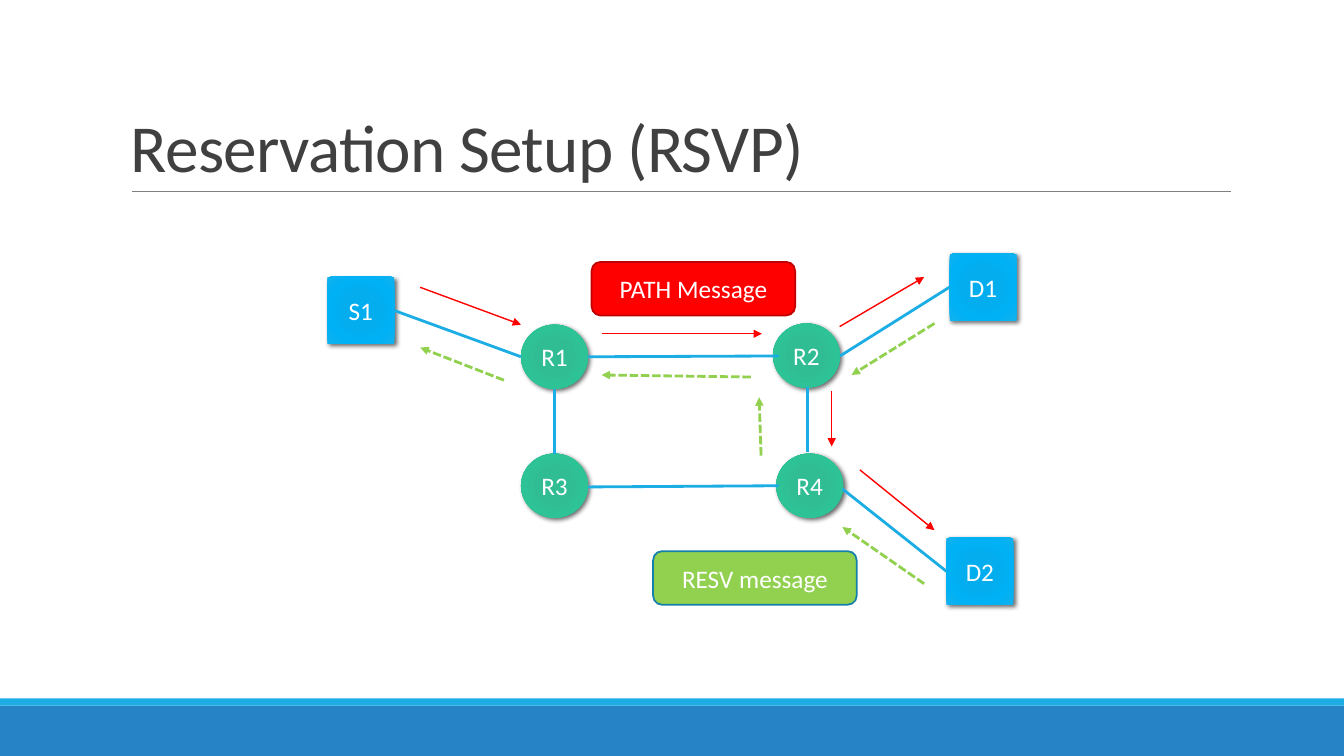
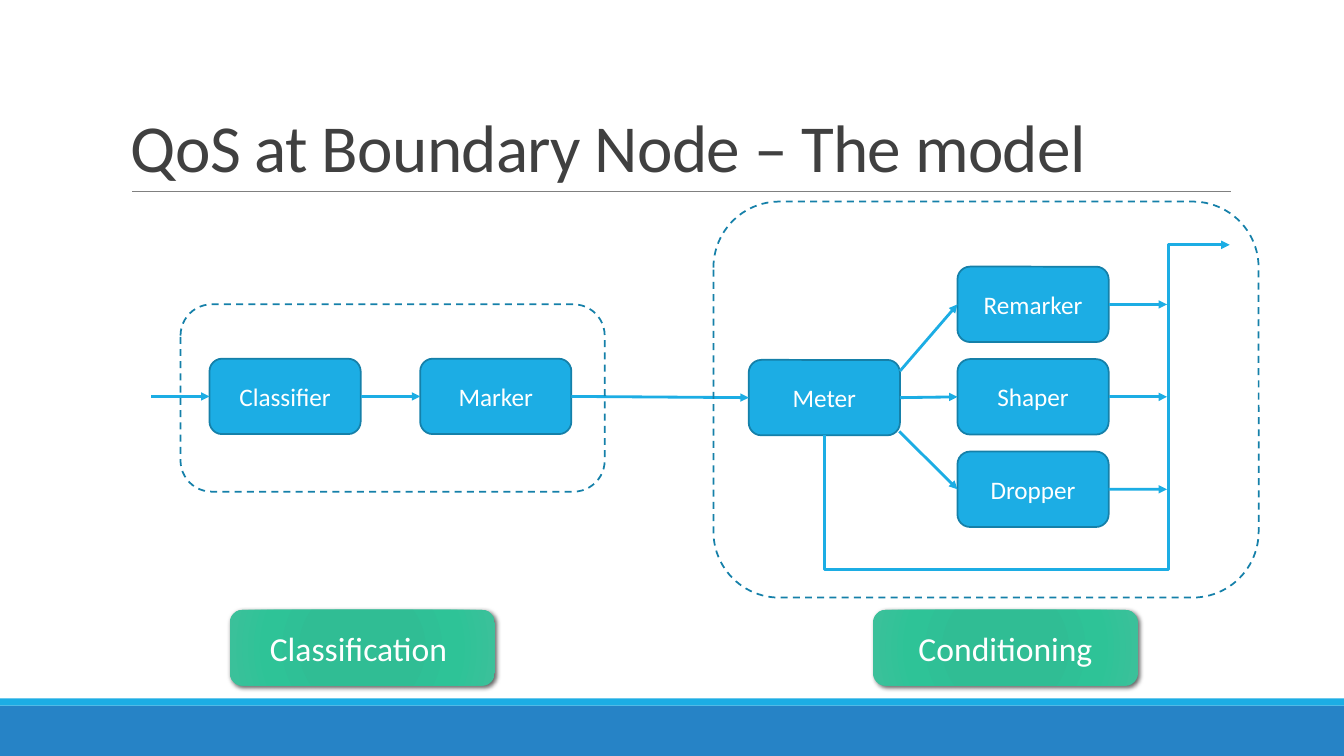
from dataclasses import dataclass
from typing import Any, Optional, Union

from lxml import etree
from pptx import Presentation
from pptx import slide as s
from pptx import util as u
from pptx.dml import color
from pptx.enum import dml, shapes, text
from pptx.oxml import ns
from pptx.shapes import autoshape

COLORS = {
    "band": "2683C6",
    "accent": "1CADE4",
    "outline": "1580A9",
    "rule": "808080",
    "title": "404040",
    "white": "FFFFFF",
    "black": "000000",
    "path": "FF0000",
    "path_outline": "C00000",
    "resv": "92D050",
}
GRADIENTS = {
    "green": ((0, "2DBE94"), (34, "30BD94"), (70, "2EC397"), (100, "3CC09A")),
    "blue": ((0, "00ADEF"), (34, "03ADEE"), (70, "00B1F5"), (100, "12B1EE")),
}
SLIDE_WIDTH, SLIDE_HEIGHT = 33.87, 19.05
KIND = shapes.MSO_SHAPE
DASH = dml.MSO_LINE_DASH_STYLE

Point = tuple[float, float]
Site = tuple[str, int]
Endpoint = Union[Point, Site]
TOP, LEFT, BOTTOM, RIGHT = range(4)


@dataclass(frozen=True)
class Stroke:
    color: str
    width: float
    dash: Optional[Any] = None
    arrow: bool = False


@dataclass(frozen=True)
class Look:
    kind: Any
    width: float
    height: float
    fill: Optional[str] = None
    stroke: Optional[Stroke] = None
    size: int = 18


@dataclass(frozen=True)
class Box:
    label: str
    left: float
    top: float
    look: Look


@dataclass(frozen=True)
class Link:
    start: Endpoint
    end: Endpoint
    stroke: Stroke


OUTLINE = Stroke("outline", 1.25)
FRAME_LINE = Stroke("outline", 1.25, DASH.DASH)
WIRE = Stroke("accent", 2)
FLOW = Stroke("accent", 2, arrow=True)
PATH = Stroke("path", 1, arrow=True)
RESV = Stroke("resv", 2, DASH.SQUARE_DOT, True)

ROUTER = Look(KIND.OVAL, 1.69, 1.62, "green")
HOST = Look(KIND.RECTANGLE, 1.69, 1.69, "blue")
PATH_LABEL = Look(KIND.ROUNDED_RECTANGLE, 5.13, 1.35, "path", Stroke("path_outline", 1.25))
RESV_LABEL = Look(KIND.ROUNDED_RECTANGLE, 5.13, 1.35, "resv", OUTLINE)
STAGE = Look(KIND.ROUNDED_RECTANGLE, 3.81, 1.9, "accent", OUTLINE)
CAPTION = Look(KIND.ROUNDED_RECTANGLE, 6.68, 1.91, "green", size=24)


def rgb(name: str) -> color.RGBColor:
    return color.RGBColor.from_string(COLORS[name])


def add_text(paragraph: Any, words: str, size: int, color_name: str) -> Any:
    run = paragraph.add_run()
    run.text = words
    for name, value in {"name": "Calibri", "size": u.Pt(size)}.items():
        setattr(run.font, name, value)
    run.font.color.rgb = rgb(color_name)
    return run


def apply_stroke(shape: Any, stroke: Stroke) -> None:
    shape.line.color.rgb = rgb(stroke.color)
    formats = {"width": u.Pt(stroke.width), "dash_style": stroke.dash}
    for name, value in formats.items():
        if value is not None:
            setattr(shape.line, name, value)
    if stroke.arrow:
        outline = shape._element.spPr.find(ns.qn("a:ln"))
        etree.SubElement(outline, ns.qn("a:tailEnd"), type="triangle")


def apply_gradient(shape: autoshape.Shape, name: str) -> None:
    properties = shape._element.spPr
    shape.fill.gradient()
    gradient = properties.find(ns.qn("a:gradFill"))
    for child in list(gradient):
        gradient.remove(child)
    stops = etree.SubElement(gradient, ns.qn("a:gsLst"))
    for position, value in GRADIENTS[name]:
        stop = etree.SubElement(stops, ns.qn("a:gs"), pos=str(position * 1000))
        etree.SubElement(stop, ns.qn("a:srgbClr"), val=value)
    circle = etree.SubElement(gradient, ns.qn("a:path"), path="circle")
    etree.SubElement(circle, ns.qn("a:fillToRect"), dict.fromkeys("ltrb", "100000"))

    effects = properties.find(ns.qn("a:effectLst"))
    shadow = etree.SubElement(
        effects, ns.qn("a:outerShdw"),
        blurRad=str(u.Pt(3.5)), dist=str(u.Pt(2)), dir="2700000",
        algn="tl", rotWithShape="0",
    )
    tint = etree.SubElement(shadow, ns.qn("a:srgbClr"), val=COLORS["black"])
    etree.SubElement(tint, ns.qn("a:alpha"), val="60000")


def add_box(slide: s.Slide, box: Box) -> autoshape.Shape:
    look = box.look
    shape = slide.shapes.add_shape(
        look.kind, u.Cm(box.left), u.Cm(box.top), u.Cm(look.width), u.Cm(look.height)
    )
    shape.shadow.inherit = False
    if look.fill is None:
        shape.fill.background()
    elif look.fill in GRADIENTS:
        apply_gradient(shape, look.fill)
    else:
        shape.fill.solid()
        shape.fill.fore_color.rgb = rgb(look.fill)
    if look.stroke:
        apply_stroke(shape, look.stroke)
    else:
        shape.line.fill.background()
    if box.label:
        shape.text_frame.vertical_anchor = text.MSO_ANCHOR.MIDDLE
        paragraph = shape.text_frame.paragraphs[0]
        paragraph.alignment = text.PP_ALIGN.CENTER
        add_text(paragraph, box.label, look.size, "white")
    return shape


def add_boxes(slide: s.Slide, boxes: list[Box]) -> dict[str, autoshape.Shape]:
    return {box.label: add_box(slide, box) for box in boxes}


def add_link(slide: s.Slide, link: Link, boxes: dict[str, autoshape.Shape]) -> None:
    ends = (link.start, link.end)
    places = [
        u.Cm(value)
        for end in ends
        for value in ((0, 0) if isinstance(end[0], str) else end)
    ]
    connector = slide.shapes.add_connector(shapes.MSO_CONNECTOR.STRAIGHT, *places)
    for end, connect in zip(ends, (connector.begin_connect, connector.end_connect)):
        if isinstance(end[0], str):
            connect(boxes[end[0]], end[1])
    apply_stroke(connector, link.stroke)
    etree.SubElement(connector._element.spPr, ns.qn("a:effectLst"))


def add_route(slide: s.Slide, points: list[Point], stroke: Stroke) -> None:
    start, *corners = [(u.Cm(x), u.Cm(y)) for x, y in points]
    builder = slide.shapes.build_freeform(*start)
    builder.add_line_segments(corners, close=False)
    route = builder.convert_to_shape()
    route.shadow.inherit = False
    route.fill.background()
    apply_stroke(route, stroke)


def add_titled_slide(presentation: Any, title: str) -> s.Slide:
    slide = presentation.slides.add_slide(presentation.slide_layouts[6])
    for top, height, fill in ((17.78, 1.27, "band"), (17.6, 0.18, "accent")):
        add_box(slide, Box("", 0, top, Look(KIND.RECTANGLE, SLIDE_WIDTH, height, fill)))
    add_link(slide, Link((3.33, 4.83), (31.01, 4.83), Stroke("rule", 0.5)), {})
    heading = slide.shapes.add_textbox(u.Cm(3.05), u.Cm(0.79), u.Cm(27.94), u.Cm(4.04))
    formats = {"word_wrap": True, "vertical_anchor": text.MSO_ANCHOR.BOTTOM}
    for name, value in formats.items():
        setattr(heading.text_frame, name, value)
    paragraph = heading.text_frame.paragraphs[0]
    paragraph.line_spacing = 0.85
    run = add_text(paragraph, title, 48, "title")
    run._r.get_or_add_rPr().set("spc", "-50")
    return slide


def build_reservation(presentation: Any) -> None:
    slide = add_titled_slide(presentation, "Reservation Setup (RSVP)")
    nodes = add_boxes(slide, [
        Box("R1", 13.13, 8.18, ROUTER),
        Box("R2", 19.48, 8.15, ROUTER),
        Box("R4", 19.56, 11.43, ROUTER),
        Box("R3", 13.13, 11.43, ROUTER),
        Box("S1", 8.25, 6.98, HOST),
        Box("D1", 23.93, 6.39, HOST),
        Box("D2", 23.85, 13.55, HOST),
    ])
    routes: dict[Stroke, list[tuple[Endpoint, Endpoint]]] = {
        WIRE: [
            (("S1", RIGHT), (13.13, 8.99)),
            ((14.82, 8.99), (19.63, 8.97)),
            ((14.82, 12.27), (19.63, 12.24)),
            ((13.97, 11.43), (13.97, 9.8)),
            ((20.35, 11.38), (20.35, 9.75)),
            ((21.17, 8.97), ("D1", LEFT)),
            ((21.23, 12.32), ("D2", LEFT)),
        ],
        PATH: [
            ((10.59, 7.24), (13.13, 8.18)),
            ((15.16, 8.41), (19.2, 8.41)),
            ((21.16, 8.23), (23.29, 6.98)),
            ((21.67, 11.84), (23.55, 13.36)),
            ((20.96, 9.86), (20.96, 11.25)),
        ],
        RESV: [
            ((12.7, 9.58), (10.59, 8.76)),
            ((18.92, 9.5), (15.16, 9.45)),
            ((23.55, 8.15), (21.46, 9.45)),
            ((23.29, 14.71), (21.23, 13.28)),
            ((19.18, 11.48), (19.13, 10.01)),
        ],
    }
    for stroke, pairs in routes.items():
        for start, end in pairs:
            add_link(slide, Link(start, end, stroke), nodes)
    add_boxes(slide, [
        Box("PATH Message", 14.91, 6.6, PATH_LABEL),
        Box("RESV message", 16.46, 13.89, RESV_LABEL),
    ])


def build_boundary_node(presentation: Any) -> None:
    slide = add_titled_slide(presentation, "QoS at Boundary Node – The model")
    actions = ("Remarker", "Shaper", "Dropper")
    stages = add_boxes(slide, [
        Box("Classifier", 5.28, 9.04, STAGE),
        Box("Marker", 10.59, 9.04, STAGE),
        Box("Meter", 18.87, 9.07, STAGE),
        *(Box(name, 24.13, 6.72 + 2.33 * row, STAGE) for row, name in enumerate(actions)),
    ])
    pairs: list[tuple[Endpoint, Endpoint]] = [
        (("Classifier", RIGHT), ("Marker", LEFT)),
        ((3.81, 9.99), ("Classifier", LEFT)),
        (("Marker", RIGHT), ("Meter", LEFT)),
        ((22.68, 9.35), ("Remarker", LEFT)),
        ((22.66, 10.87), ("Dropper", LEFT)),
        (("Meter", RIGHT), ("Shaper", LEFT)),
        *(((name, RIGHT), (29.41, 7.67 + 2.33 * row)) for row, name in enumerate(actions)),
    ]
    for start, end in pairs:
        add_link(slide, Link(start, end, FLOW), stages)
    bypass = [(20.78, 10.97), (20.78, 14.35), (29.44, 14.35), (29.44, 6.17), (30.99, 6.17)]
    add_route(slide, bypass, FLOW)
    for left, top, width, height in ((4.55, 7.67, 10.69, 4.72), (17.98, 5.08, 13.74, 9.98)):
        frame = Look(KIND.ROUNDED_RECTANGLE, width, height, stroke=FRAME_LINE)
        add_box(slide, Box("", left, top, frame))
    add_boxes(slide, [
        Box("Classification ", 5.79, 15.37, CAPTION),
        Box("Conditioning", 22, 15.37, CAPTION),
    ])


def main() -> None:
    presentation = Presentation()
    size = {"slide_width": u.Cm(SLIDE_WIDTH), "slide_height": u.Cm(SLIDE_HEIGHT)}
    for name, value in size.items():
        setattr(presentation, name, value)
    build_reservation(presentation)
    build_boundary_node(presentation)
    presentation.save("out.pptx")


if __name__ == "__main__":
    main()
